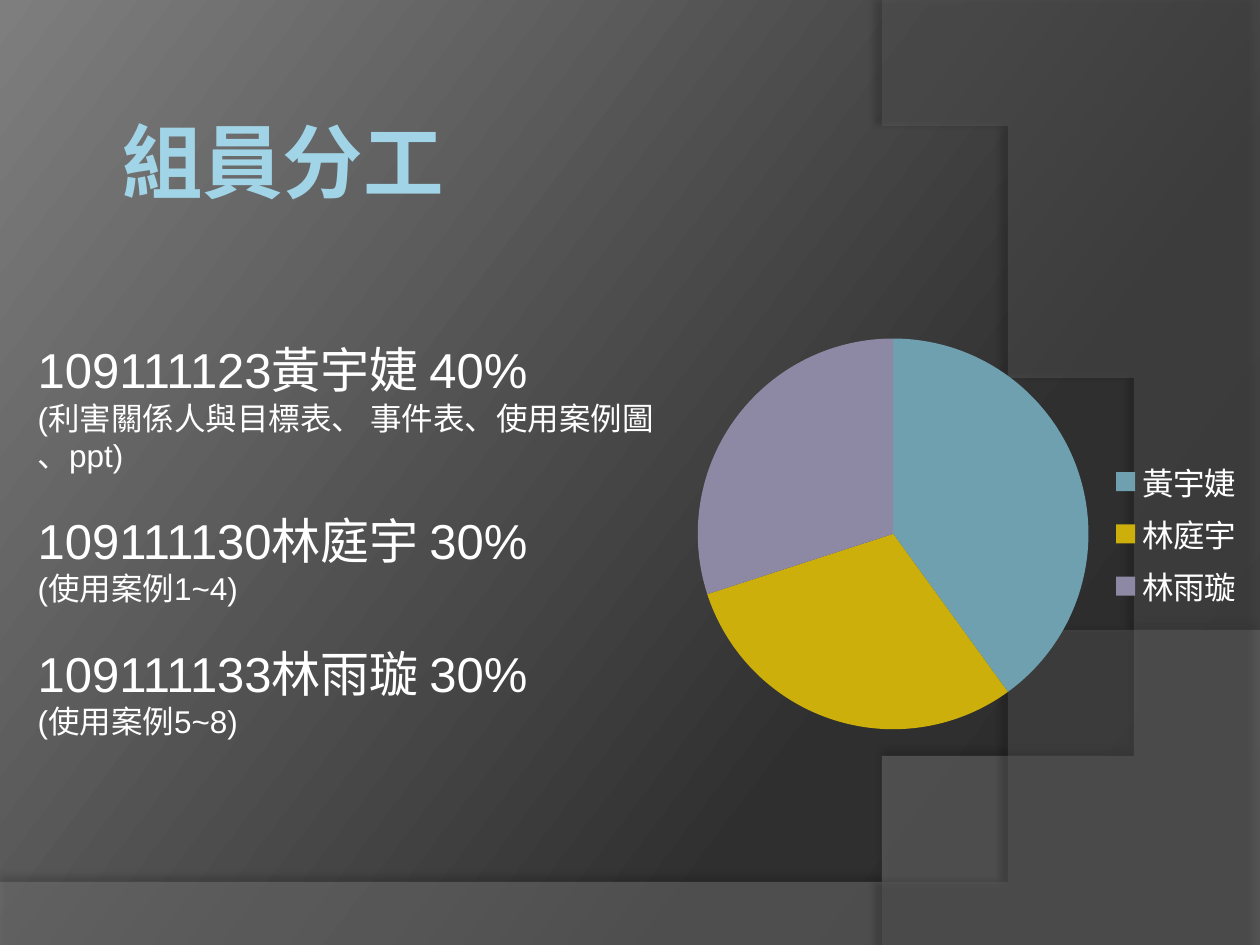
from lxml.etree import SubElement
from pptx import Presentation
from pptx.chart.data import CategoryChartData
from pptx.dml.color import RGBColor
from pptx.enum.chart import XL_CHART_TYPE, XL_LEGEND_POSITION
from pptx.enum.text import MSO_ANCHOR, MSO_AUTO_SIZE, PP_ALIGN
from pptx.oxml.ns import qn
from pptx.util import Inches, Pt

WIDTH, HEIGHT = Inches(10), Inches(7.5)
WHITE = RGBColor(0xFF, 0xFF, 0xFF)
BLACK = RGBColor(0x00, 0x00, 0x00)
SKY = RGBColor(0xA1, 0xD4, 0xE7)
TEAL = RGBColor(0x6E, 0xA0, 0xB0)
GOLD = RGBColor(0xCC, 0xAF, 0x0A)
MAUVE = RGBColor(0x8D, 0x89, 0xA4)
WAVE_GREY = RGBColor(0x7F, 0x7F, 0x7F)
ARC_GREY = RGBColor(0x5E, 0x5E, 0x5E)
BACKDROP = [
    (0, RGBColor(0x28, 0x28, 0x28)),
    (30, RGBColor(0x2F, 0x2F, 0x2F)),
    (100, RGBColor(0x7E, 0x7E, 0x7E)),
]
MEMBERS = [
    ("109111123", "黃宇婕", 40, ["(利害關係人與目標表、 事件表、使用案例圖", "、ppt)"], TEAL),
    ("109111130", "林庭宇", 30, ["(使用案例1~4)"], GOLD),
    ("109111133", "林雨璇", 30, ["(使用案例5~8)"], MAUVE),
]


def place(shape, left, top, width, height):
    shape.left, shape.top = int(WIDTH * left), int(HEIGHT * top)
    shape.width, shape.height = int(WIDTH * width), int(HEIGHT * height)


def add_color(parent, color, alpha=100):
    element = SubElement(parent, qn("a:srgbClr"), val=str(color))
    if alpha < 100:
        SubElement(element, qn("a:alpha"), val=str(alpha * 1000))


def paint_background(slide):
    fill = slide.background.fill
    fill.gradient()
    fill.gradient_angle = 360 - 217
    stops = slide.element.find(".//" + qn("a:gsLst"))
    for stop in list(stops):
        stops.remove(stop)
    for position, color in BACKDROP:
        add_color(SubElement(stops, qn("a:gs"), pos=str(position * 1000)), color)


def curve(start, first, second, end, steps=60):
    points = []
    for step in range(steps + 1):
        t = step / steps
        weights = ((1 - t) ** 3, 3 * t * (1 - t) ** 2, 3 * t * t * (1 - t), t ** 3)
        controls = (start, first, second, end)
        points.append(tuple(sum(w * p[axis] for w, p in zip(weights, controls)) for axis in (0, 1)))
    return points


def add_swoosh(slide, points, color, alpha, shadow_alpha, distance, direction):
    builder = slide.shapes.build_freeform(*points[0], scale=Inches(1))
    builder.add_line_segments(points[1:], close=True)
    shape = builder.convert_to_shape()
    shape.fill.solid()
    shape.fill.fore_color.rgb = color
    fill_color = shape.element.spPr.find(qn("a:solidFill")).find(qn("a:srgbClr"))
    SubElement(fill_color, qn("a:alpha"), val=str(alpha * 1000))
    shape.line.fill.background()
    shape.shadow.inherit = False
    shadow = SubElement(
        shape.element.spPr.find(qn("a:effectLst")), qn("a:outerShdw"),
        blurRad=str(Pt(4)), dist=str(Pt(distance)), dir=str(direction * 60000),
        algn="ctr", rotWithShape="0",
    )
    add_color(shadow, BLACK, shadow_alpha)


def add_run(para, text, font, size, color, bold=False):
    span = para.add_run()
    span.text = text
    span.font.name = font
    span.font.size = Pt(size)
    span.font.bold = bold
    span.font.color.rgb = color


def set_title(slide, text):
    title = slide.shapes.title
    place(title, -0.13, 0.112, 0.709, 0.336)
    frame = title.text_frame
    frame.margin_left = frame.margin_right = Inches(0.05)
    frame.margin_top = frame.margin_bottom = Inches(0.05)
    frame.vertical_anchor = MSO_ANCHOR.TOP
    frame.auto_size = MSO_AUTO_SIZE.NONE
    para = frame.paragraphs[0]
    para.alignment = PP_ALIGN.CENTER
    add_run(para, text, "Karla", 46, SKY, True)


def add_member_list(slide):
    box = slide.shapes.add_textbox(0, 0, 0, 0)
    place(box, 0.02, 0.353, 0.795, 0.444)
    frame = box.text_frame
    frame.word_wrap = True
    for index, (number, name, share, tasks, _) in enumerate(MEMBERS):
        para = frame.add_paragraph() if index else frame.paragraphs[0]
        if index:
            para.space_before = Pt(20.7)
        add_run(para, f"{number}{name} {share}%", "Arial", 28, WHITE)
        for task in tasks:
            add_run(frame.add_paragraph(), task, "Arial", 18, WHITE)


def add_share_chart(slide):
    data = CategoryChartData()
    data.categories = [member[1] for member in MEMBERS]
    data.add_series("Series 1", [member[2] for member in MEMBERS])
    holder = slide.shapes.add_chart(XL_CHART_TYPE.PIE, 0, 0, WIDTH, HEIGHT, data)
    place(holder, 0.54, 0.311, 0.458, 0.508)
    chart = holder.chart
    chart.has_title = False
    chart.font.name = "Arial"
    chart.font.size = Pt(18)
    chart.font.color.rgb = WHITE
    chart.has_legend = True
    chart.legend.position = XL_LEGEND_POSITION.RIGHT
    chart.legend.include_in_layout = False
    plot = chart.plots[0]
    plot.vary_by_categories = True
    for index, member in enumerate(MEMBERS):
        fill = plot.series[0].points[index].format.fill
        fill.solid()
        fill.fore_color.rgb = member[4]


def main():
    deck = Presentation()
    deck.slide_width, deck.slide_height = WIDTH, HEIGHT
    page = deck.slides.add_slide(deck.slide_layouts[5])
    paint_background(page)
    wave = [(0, 7.5), *curve((10, 5.2), (5.59, 7.29), (3.91, 7.19), (0, 7.05))]
    wave.insert(1, (10, 7.5))
    arc = [(10, 0.02), (10, 7.5), *curve((7.03, 7.5), (8.91, 6.19), (9.47, 2.75), (6.68, 0))]
    add_swoosh(page, wave, WAVE_GREY, 45, 35, 3.5, 270)
    add_swoosh(page, arc, ARC_GREY, 40, 45, 4, 180)
    set_title(page, "組員分工")
    add_member_list(page)
    add_share_chart(page)
    deck.save("out.pptx")


if __name__ == "__main__":
    main()
